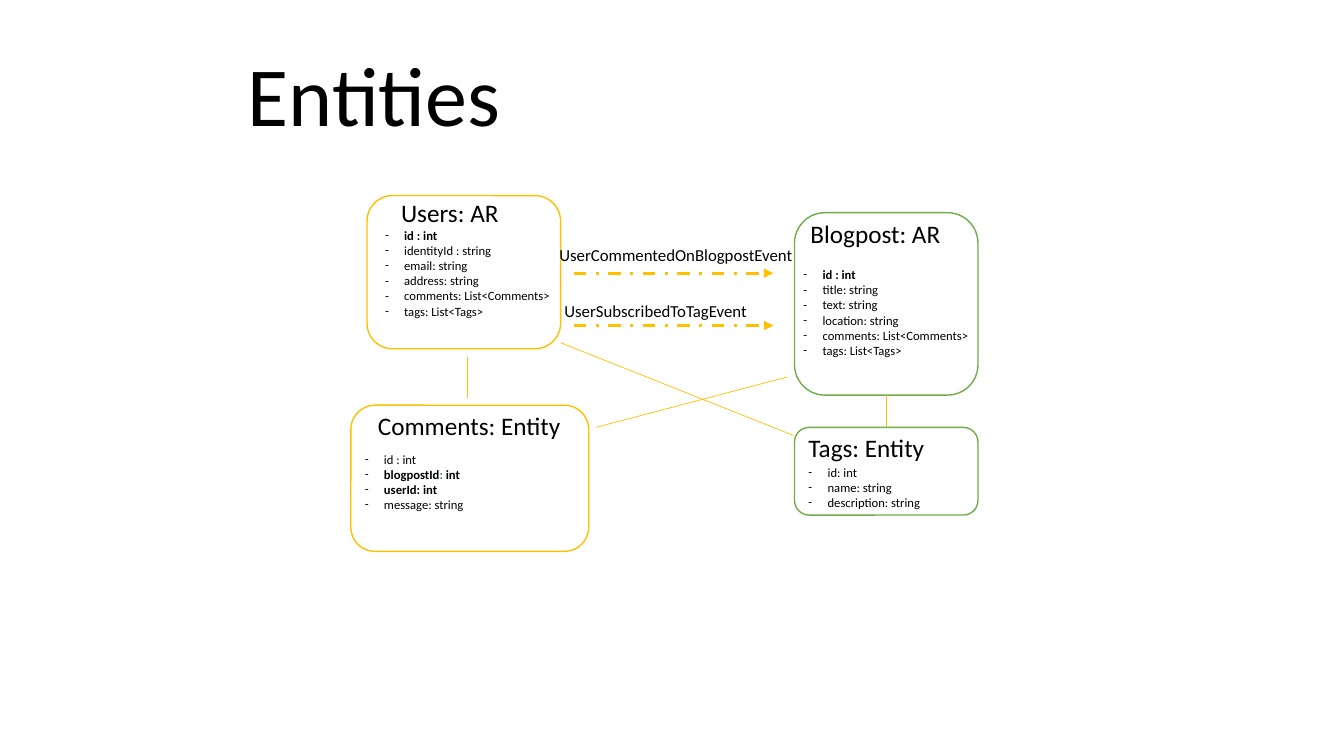
from lxml.etree import SubElement
from pptx import Presentation
from pptx.dml.color import RGBColor
from pptx.enum.dml import MSO_LINE
from pptx.enum.shapes import MSO_CONNECTOR, MSO_SHAPE
from pptx.enum.text import MSO_ANCHOR, PP_ALIGN
from pptx.oxml.ns import qn
from pptx.util import Pt

PX = 9144
BLACK = RGBColor(0, 0, 0)
WHITE = RGBColor(255, 255, 255)
GOLD = RGBColor(0xFF, 0xC0, 0x00)
GREEN = RGBColor(0x70, 0xAD, 0x47)
BLUE = RGBColor(0x44, 0x72, 0xC4)

deck = Presentation()
deck.slide_width, deck.slide_height = 1333 * PX, 750 * PX
slide = deck.slides.add_slide(deck.slide_layouts[6])
shapes = slide.shapes


def write(text, box, size=9, bold=(), tint=None, dash=False,
          align=PP_ALIGN.LEFT, anchor=MSO_ANCHOR.TOP, space=1.0):
    frame = shapes.add_textbox(*[n * PX for n in box]).text_frame
    frame.word_wrap = True
    frame.vertical_anchor = anchor
    for i, line in enumerate(text.split("\n")):
        para = frame.paragraphs[0] if i == 0 else frame.add_paragraph()
        para.alignment = align
        para.line_spacing = space
        if dash:
            props = para._p.get_or_add_pPr()
            props.set("marL", str(19 * PX))
            props.set("indent", str(-19 * PX))
            SubElement(props, qn("a:buFont")).set("typeface", "Calibri")
            SubElement(props, qn("a:buChar")).set("char", "-")
        parts = line.partition(": ") if line == tint else [line]
        for part in parts:
            run = para.add_run()
            run.text = part
            run.font.name = "Calibri"
            run.font.size = Pt(size)
            run.font.bold = line in bold
            run.font.color.rgb = BLUE if part == ": " else BLACK


def link(ends, width=0.5, arrow=False):
    wire = shapes.add_connector(MSO_CONNECTOR.STRAIGHT, *[n * PX for n in ends])
    wire.line.color.rgb = GOLD
    wire.line.width = Pt(width)
    if arrow:
        wire.line.dash_style = MSO_LINE.DASH_DOT
        SubElement(wire.line._ln, qn("a:tailEnd")).set("type", "triangle")
    SubElement(wire._element.spPr, qn("a:effectLst"))
    return wire


write("Entities", (121, 46, 500, 102), size=60, align=PP_ALIGN.CENTER,
      anchor=MSO_ANCHOR.BOTTOM, space=0.9)

CARDS = [
    ("Blogpost: AR", GREEN, (788, 211, 182, 181), (794, 212, 161, 40),
     (787, 260, 195, 101), ["id : int"],
     "id : int\ntitle: string\ntext: string\nlocation: string\n"
     "comments: List<Comments>\ntags: List<Tags>"),
    ("Tags: Entity", GREEN, (788, 424, 182, 87), (792, 424, 170, 40),
     (792, 456, 195, 56), [],
     "id: int\nname: string\ndescription: string"),
    ("Comments: Entity", GOLD, (348, 402, 236, 145), (365, 402, 218, 40),
     (352, 443, 256, 71), ["blogpostId: int", "userId: int"],
     "id : int\nblogpostId: int\nuserId: int\nmessage: string"),
    ("Users: AR", GOLD, (364, 194, 192, 152), (388, 191, 134, 40),
     (372, 221, 195, 101), ["id : int"],
     "id : int\nidentityId : string\nemail: string\naddress: string\n"
     "comments: List<Comments>\ntags: List<Tags>"),
]
cards = {}
for name, color, box, head, body, bold, fields in CARDS:
    card = shapes.add_shape(MSO_SHAPE.ROUNDED_RECTANGLE, *[n * PX for n in box])
    card.shadow.inherit = False
    card.fill.solid()
    card.fill.fore_color.rgb = WHITE
    card.line.color.rgb = color
    card.line.width = Pt(1)
    cards[name] = card
    write(name, head, size=18)
    write(fields, body, bold=bold, tint="blogpostId: int", dash=True)

wire = link((879, 392, 879, 424))
wire.begin_connect(cards["Blogpost: AR"], 2)
wire.end_connect(cards["Tags: Entity"], 0)

for ends in [(464, 354, 464, 395), (781, 374, 591, 424), (787, 432, 556, 340)]:
    link(ends)

EVENTS = [
    ("UserSubscribedToTagEvent", 550, 293, 323),
    ("UserCommentedOnBlogpostEvent", 545, 238, 271),
]
for event, left, top, y in EVENTS:
    write(event, (left, top, 267, 30), size=12)
    link((569, y, 767, y), width=2.25, arrow=True)

deck.save("out.pptx")
